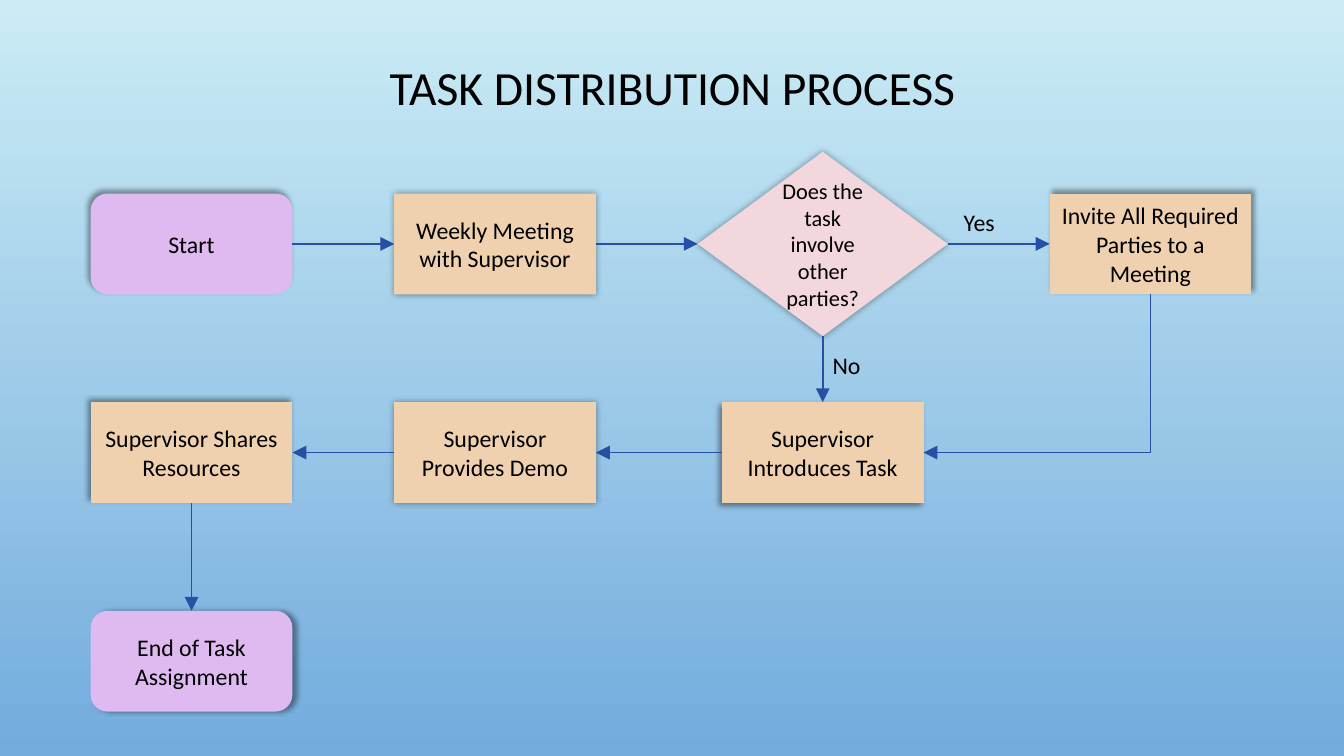
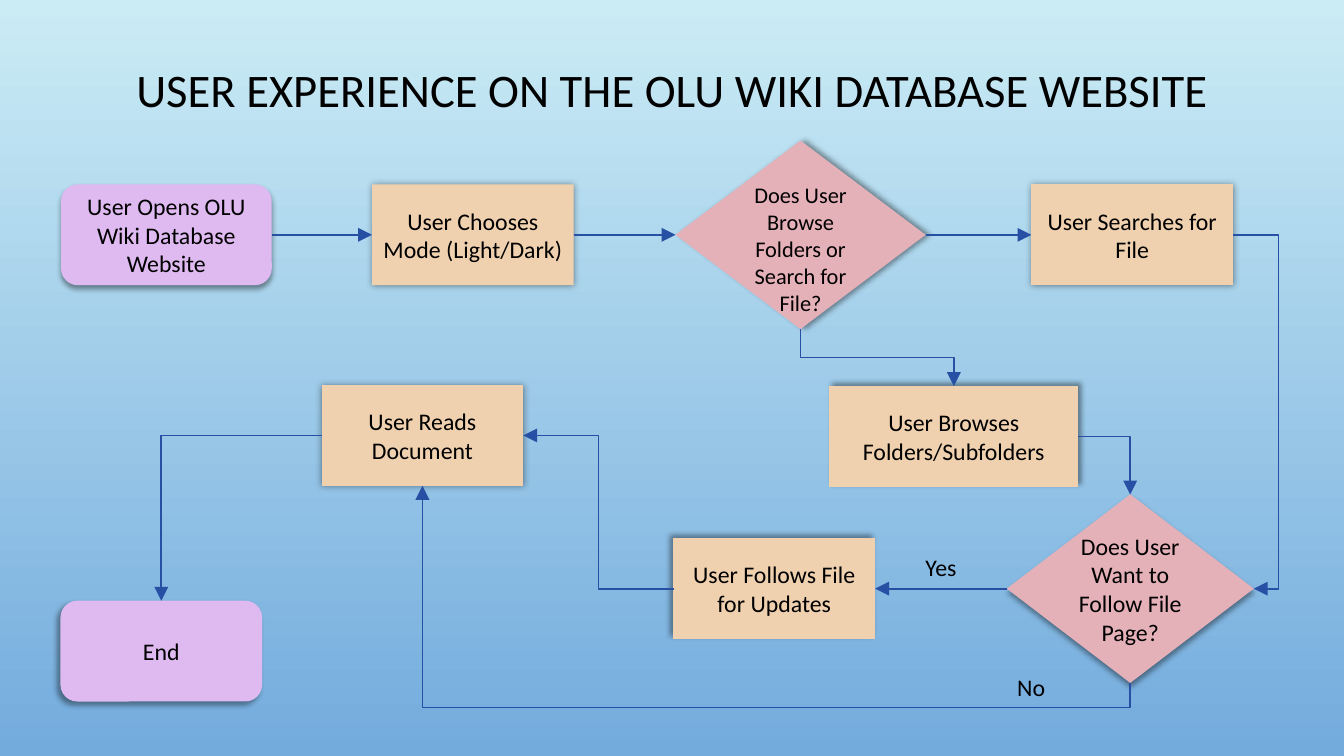
from dataclasses import dataclass

from lxml import etree
from pptx import Presentation
from pptx import util as u
from pptx.dml.color import RGBColor
from pptx.enum import shapes, text
from pptx.oxml.ns import qn
from pptx.slide import Slide

# Shared style
FONT = "Calibri"
INK, LINE = "000000", "274FA4"
SKY = ("CBECF5", "73ABDD")
LILAC, SAND, BLUSH, ROSE = "DFBAF0", "EFD1AF", "F2D8DC", "E5B1B9"
KIND = shapes.MSO_SHAPE
ENDS = KIND.FLOWCHART_ALTERNATE_PROCESS
STEP = KIND.FLOWCHART_PROCESS
TEST = KIND.FLOWCHART_DECISION
TOP, LEFT, LOW, RIGHT = range(4)
UNIT = 0.1  # inches in one grid column or row


@dataclass(frozen=True)
class Node:
    """A box whose centre is at a grid column and row."""
    key: str
    words: str
    col: float
    row: float
    wide: float = 20
    high: float = 10
    kind: int = STEP
    fill: str = SAND
    shade: int | None = None  # shadow angle; None is an even glow
    size: float = 17
    drop: float = 0  # added top margin


@dataclass(frozen=True)
class Link:
    """An arrow between two box sides, with an optional bend position."""
    start: str
    out: int
    end: str
    into: int
    bend: float | None = None


@dataclass(frozen=True)
class Label:
    words: str
    col: float
    row: float
    wide: float


@dataclass(frozen=True)
class Chart:
    title: str
    size: float
    row: float
    nodes: list[Node]
    links: list[Link]
    labels: list[Label]


def grid(count: float) -> int:
    return u.Inches(count * UNIT)


def paint(code: str) -> RGBColor:
    return RGBColor.from_string(code)


def write(frame, words: str, *, size: float = 17, align=text.PP_ALIGN.CENTER,
          anchor=text.MSO_ANCHOR.MIDDLE, space: float | None = None) -> None:
    frame.text = words
    frame.word_wrap = True
    frame.vertical_anchor = anchor
    for para in frame.paragraphs:
        para.alignment = align
        para.line_spacing = space
        for run in para.runs:
            run.font.name = FONT
            run.font.size = u.Pt(size)
            run.font.color.rgb = paint(INK)


def shade(shape, angle: int | None) -> None:
    shape.shadow.inherit = False
    blur, dist = (5, 0) if angle is None else (4, 3)
    glow = etree.SubElement(
        shape._element.spPr.find(qn("a:effectLst")), qn("a:outerShdw"),
        blurRad=str(u.Pt(blur)), dist=str(u.Pt(dist)),
        dir=str((angle or 0) * 60000), rotWithShape="0")
    tint = etree.SubElement(glow, qn("a:srgbClr"), val=INK)
    etree.SubElement(tint, qn("a:alpha"), val="40000")


def add_node(slide: Slide, node: Node):
    box = slide.shapes.add_shape(
        node.kind, grid(node.col - node.wide / 2), grid(node.row - node.high / 2),
        grid(node.wide), grid(node.high))
    box.fill.solid()
    box.fill.fore_color.rgb = paint(node.fill)
    box.line.fill.background()
    shade(box, node.shade)
    box.text_frame.margin_top += grid(node.drop)
    write(box.text_frame, node.words, size=node.size)
    return box


def route(arrow, link: Link) -> None:
    """Turn and flip an elbow so that it leaves and enters the right sides."""
    x, y = arrow.begin_x, arrow.begin_y
    dx, dy = arrow.end_x - x, arrow.end_y - y
    flat = link.out in (LEFT, RIGHT)
    run, rise = (dx, dy) if flat else (dy, -dx)
    arrow.width, arrow.height = abs(run), abs(rise)
    arrow.left = x + (dx - abs(run)) // 2
    arrow.top = y + (dy - abs(rise)) // 2
    props = arrow._element.spPr
    frame = props.find(qn("a:xfrm"))
    frame.set("rot", "0" if flat else "5400000")
    frame.set("flipH", str(int(run < 0)))
    frame.set("flipV", str(int(rise < 0)))
    form = props.find(qn("a:prstGeom"))
    if link.out % 2 != link.into % 2:
        form.set("prst", "bentConnector2")
    elif link.bend is not None:
        share = (grid(link.bend) - (x if flat else y)) / run
        guides = form.find(qn("a:avLst"))
        if guides is None:
            guides = etree.SubElement(form, qn("a:avLst"))
        etree.SubElement(guides, qn("a:gd"), name="adj1",
                         fmla=f"val {round(share * 100000)}")


def add_link(slide: Slide, link: Link, nodes: dict, boxes: dict) -> None:
    a, b = nodes[link.start], nodes[link.end]
    level = link.out in (LEFT, RIGHT) and a.row == b.row
    plumb = link.out in (TOP, LOW) and a.col == b.col
    kind = shapes.MSO_CONNECTOR
    straight = level or plumb
    arrow = slide.shapes.add_connector(
        kind.STRAIGHT if straight else kind.ELBOW, 0, 0, 0, 0)
    arrow.begin_connect(boxes[link.start], link.out)
    arrow.end_connect(boxes[link.end], link.into)
    if not straight:
        route(arrow, link)
    arrow.line.color.rgb = paint(LINE)
    arrow.line.width = u.Pt(1.25)
    etree.SubElement(arrow.line._get_or_add_ln(), qn("a:tailEnd"),
                     type="triangle", w="lg", len="lg")
    etree.SubElement(arrow._element.spPr, qn("a:effectLst"))


def add_label(slide: Slide, label: Label) -> None:
    box = slide.shapes.add_textbox(
        grid(label.col), grid(label.row), grid(label.wide), grid(3.9))
    write(box.text_frame, label.words, align=text.PP_ALIGN.LEFT,
          anchor=text.MSO_ANCHOR.TOP)


def add_chart(deck, chart: Chart) -> None:
    slide = deck.slides.add_slide(deck.slide_layouts[5])
    head = slide.shapes.title
    head.left, head.top = grid(9.2), grid(chart.row)
    head.width, head.height = grid(115), grid(6.8)
    write(head.text_frame, chart.title, size=chart.size, space=0.9)
    head.text_frame.auto_size = text.MSO_AUTO_SIZE.NONE
    nodes = {node.key: node for node in chart.nodes}
    boxes = {key: add_node(slide, node) for key, node in nodes.items()}
    for link in chart.links:
        add_link(slide, link, nodes, boxes)
    for label in chart.labels:
        add_label(slide, label)


# Task flow: three rows at an equal pitch
ROWS = [24.2 + 20.7 * n for n in range(3)]
COLS = [19, 49.1, 81.6, 114.1]
TASK = Chart(
    "TASK DISTRIBUTION PROCESS", 34, 5.5,
    [
        Node("start", "Start", COLS[0], ROWS[0], kind=ENDS, fill=LILAC, shade=225),
        Node("demo", "Supervisor Provides Demo", COLS[1], ROWS[1]),
        Node("meet", "Weekly Meeting\nwith Supervisor", COLS[1], ROWS[0],
             kind=KIND.RECTANGLE),
        Node("intro", "Supervisor Introduces Task", COLS[2], ROWS[1], shade=135),
        Node("ask", "Does the task involve other parties?", COLS[2], ROWS[0],
             24.8, 18.3, TEST, BLUSH, size=16),
        Node("invite", "Invite All Required Parties to a Meeting",
             COLS[3], ROWS[0], shade=315),
        Node("share", "Supervisor Shares Resources", COLS[0], ROWS[1], shade=225),
        Node("end", "End of Task Assignment", COLS[0], ROWS[2],
             kind=ENDS, fill=LILAC, shade=0),
    ],
    [
        Link("start", RIGHT, "meet", LEFT),
        Link("meet", RIGHT, "ask", LEFT),
        Link("ask", RIGHT, "invite", LEFT),
        Link("ask", LOW, "intro", TOP),
        Link("invite", LOW, "intro", RIGHT),
        Link("intro", LEFT, "demo", RIGHT),
        Link("demo", LEFT, "share", RIGHT),
        Link("share", LOW, "end", TOP),
    ],
    [Label("Yes", 94.6, 20.1, 6.3), Label("No", 81.6, 34.3, 5.6)],
)

# Website flow
FIRST, THIRD = 23.3, 58.4
SITE = Chart(
    "USER EXPERIENCE ON THE OLU WIKI DATABASE WEBSITE", 33.3, 5.8,
    [
        Node("open", "User Opens OLU Wiki Database Website", 16.5, FIRST, 20.9,
             kind=ENDS, fill=LILAC, shade=90),
        Node("track", "User Follows File for Updates", 76.8, THIRD, shade=225),
        Node("mode", "User Chooses Mode (Light/Dark)", 46.9, FIRST,
             kind=KIND.RECTANGLE),
        Node("browse", "User Browses Folders/Subfolders", 94.6, 43.3, 24.7,
             shade=315),
        Node("ask", "Does User Browse Folders or Search for File?", 79.4, FIRST,
             24.8, 18.7, TEST, ROSE, 0, 16, 2.7),
        Node("search", "User Searches for File", 112.3, FIRST),
        Node("read", "User Reads Document", 41.9, 43.2),
        Node("end", "End", 16, 64.6, kind=ENDS, fill=LILAC, shade=135),
        Node("want", "Does User Want to Follow File Page?", 112.1, THIRD,
             24.5, 18.7, TEST, ROSE, 90),
    ],
    [
        Link("open", RIGHT, "mode", LEFT),
        Link("mode", RIGHT, "ask", LEFT),
        Link("ask", RIGHT, "search", LEFT),
        Link("ask", LOW, "browse", TOP),
        Link("track", LEFT, "read", RIGHT),
        Link("read", LEFT, "end", TOP),
        Link("search", RIGHT, "want", RIGHT, 126.8),
        Link("browse", RIGHT, "want", TOP),
        Link("want", LEFT, "track", RIGHT),
        Link("want", LOW, "read", LOW, 70.2),
    ],
    [Label("Yes", 90.8, 54.3, 6.3), Label("No", 99.9, 66.2, 5.6)],
)


def main() -> None:
    deck = Presentation()
    deck.slide_width, deck.slide_height = u.Inches(13.33), u.Inches(7.5)
    # Sky gradient behind every slide
    back = deck.slide_master.background.fill
    back.gradient()
    back.gradient_angle = 270
    for stop, code, place in zip(back.gradient_stops, SKY, (0, 1)):
        stop.color.rgb = paint(code)
        stop.position = place
    for chart in (TASK, SITE):
        add_chart(deck, chart)
    deck.save("out.pptx")


if __name__ == "__main__":
    main()
